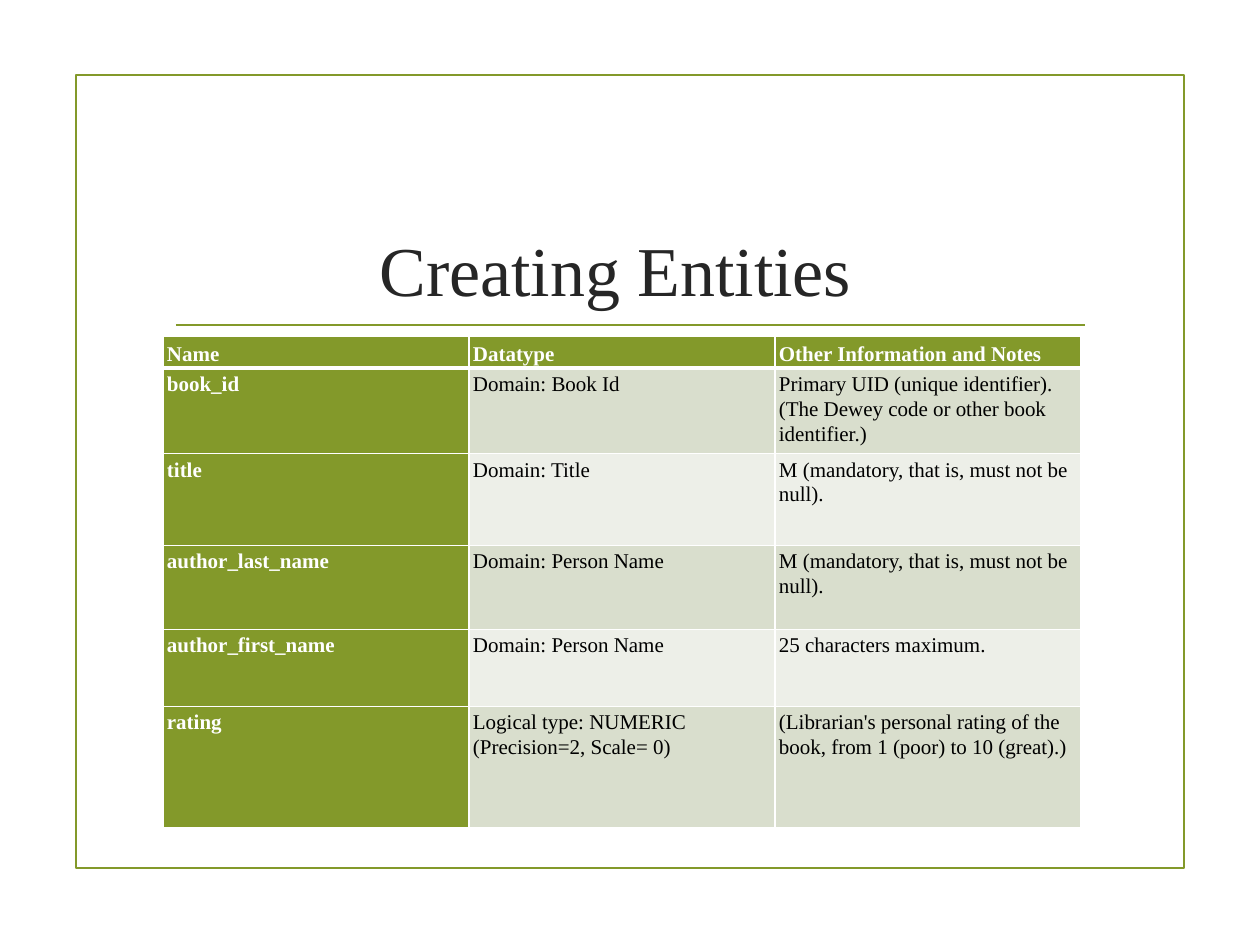
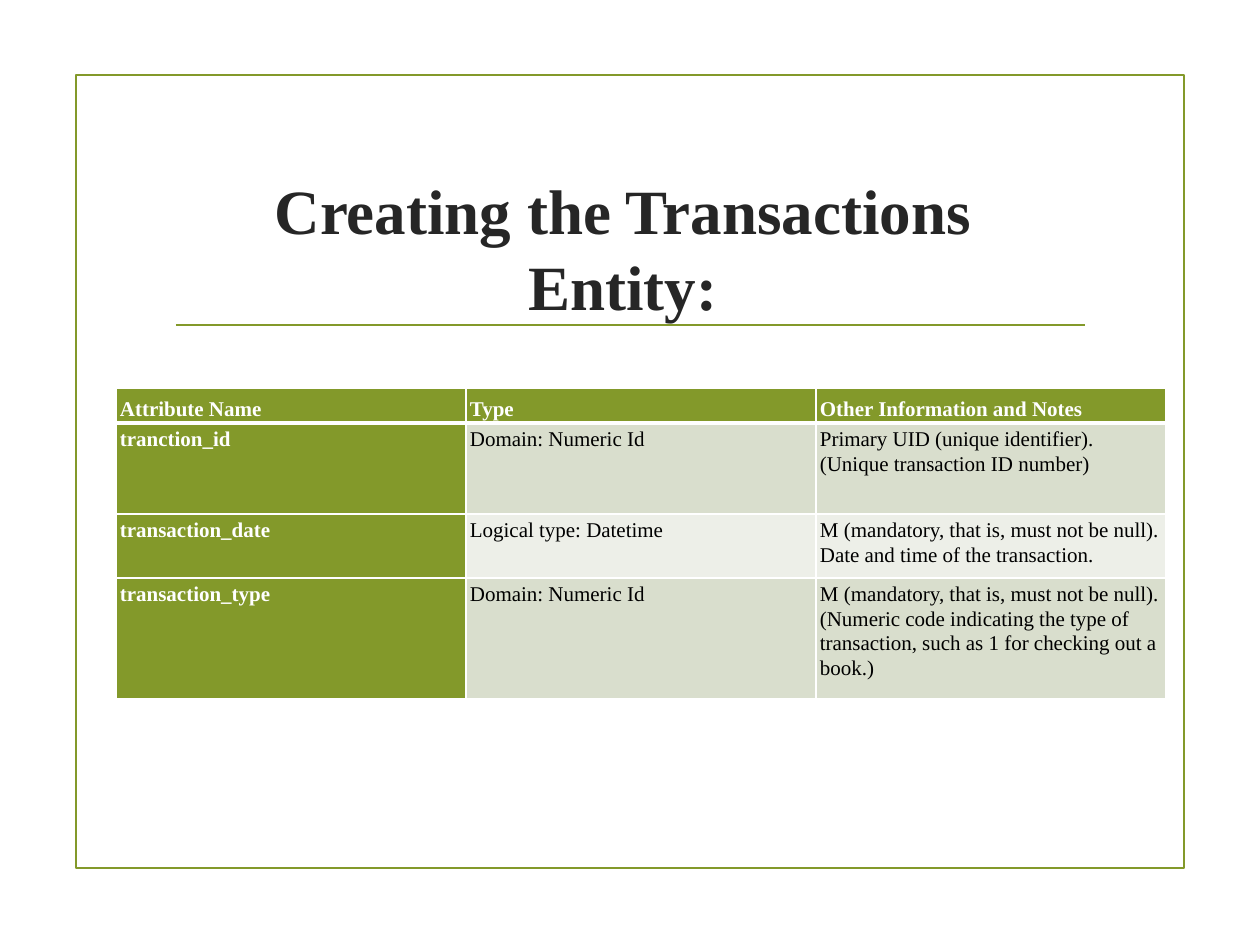
"""Builds two slides that describe library entities in tables."""
import pptx
import pptx.dml.color
import pptx.enum.shapes
import pptx.enum.text
import pptx.oxml.ns
import pptx.util
from lxml import etree

PX = 914400 // 126
FONT = "Times New Roman"
COLORS = {"green": "83992A", "title": "262626", "white": "FFFFFF", "black": "000000",
          "odd": "D9DECD", "even": "EDEFE8"}
FRAME = (76, 75, 1108, 793)
RULE = (176, 325, 1085, 325)
TITLE_WIDTH, TITLE_HEIGHT = 937, 180
MANDATORY = "M (mandatory, that is, must not be null)."

SLIDES = [
    {"title": "Creating Entities", "size": 40, "bold": False,
     "title_at": (147, 179), "indent": 0, "lift": 0,
     "table_at": (163, 336), "column": 306, "rows": [30, 81, 92, 84, 77, 121],
     "cells": [
         ("Name", "Datatype", "Other Information and Notes"),
         ("book_id", "Domain: Book Id",
          "Primary UID (unique identifier). (The Dewey code or other book identifier.)"),
         ("title", "Domain: Title", MANDATORY),
         ("author_last_name", "Domain: Person Name", MANDATORY),
         ("author_first_name", "Domain: Person Name", "25 characters maximum."),
         ("rating", "Logical type: NUMERIC (Precision=2, Scale= 0)",
          "(Librarian's personal rating of the book, from 1 (poor) to 10 (great).)"),
     ]},
    {"title": "Creating the Transactions Entity:", "size": 36, "bold": True,
     "title_at": (147, 199), "indent": 15, "lift": 84,
     "table_at": (116, 388), "column": 350, "rows": [35, 91, 64, 121],
     "cells": [
         ("Attribute Name", "Type", "Other Information and Notes"),
         ("tranction_id", "Domain: Numeric Id",
          "Primary UID (unique identifier). (Unique transaction ID number)"),
         ("transaction_date", "Logical type: Datetime",
          MANDATORY + " Date and time of the transaction."),
         ("transaction_type", "Domain: Numeric Id",
          MANDATORY + " (Numeric code indicating the type of transaction, "
          "such as 1 for checking out a book.)"),
     ]},
]


def emu(*lengths):
    return [length * PX for length in lengths]


def color(name):
    return pptx.dml.color.RGBColor.from_string(COLORS[name])


def style(paragraph, size, bold, ink, spacing):
    paragraph.line_spacing = spacing
    paragraph.font.name = FONT
    paragraph.font.size = pptx.util.Pt(size)
    paragraph.font.bold = bold
    paragraph.font.color.rgb = color(ink)


def draw_line(line):
    line.color.rgb = color("green")
    line.width = pptx.util.Pt(1.25)


def add_frame(page):
    frame = page.shapes.add_shape(pptx.enum.shapes.MSO_SHAPE.RECTANGLE, *emu(*FRAME))
    frame.shadow.inherit = False
    frame.fill.background()
    draw_line(frame.line)
    rule = page.shapes.add_connector(pptx.enum.shapes.MSO_CONNECTOR.STRAIGHT, *emu(*RULE))
    draw_line(rule.line)
    etree.SubElement(rule._element.spPr, pptx.oxml.ns.qn("a:effectLst"))


def add_title(page, content):
    box = page.shapes.add_textbox(*emu(*content["title_at"], TITLE_WIDTH, TITLE_HEIGHT))
    frame = box.text_frame
    frame.word_wrap = True
    frame.vertical_anchor = pptx.enum.text.MSO_ANCHOR.MIDDLE
    frame.margin_left, frame.margin_right = emu(25, 25)
    frame.margin_top, frame.margin_bottom = emu(0, content["lift"])
    para = frame.paragraphs[0]
    para.text = content["title"]
    para.alignment = pptx.enum.text.PP_ALIGN.CENTER
    properties = para._p.get_or_add_pPr()
    properties.set("marL", str(content["indent"] * PX))
    properties.set("indent", "0")
    style(para, content["size"], content["bold"], "title", 1.0)


def add_borders(cell, header):
    properties = cell._tc.get_or_add_tcPr()
    for side in ("lnL", "lnR", "lnT", "lnB"):
        points = 3 if header and side == "lnB" else 1
        border = etree.SubElement(properties, pptx.oxml.ns.qn("a:" + side),
                                  w=str(pptx.util.Pt(points)))
        fill = etree.SubElement(border, pptx.oxml.ns.qn("a:solidFill"))
        etree.SubElement(fill, pptx.oxml.ns.qn("a:srgbClr"), val=COLORS["white"])


def fill_cell(cell, text, row, column):
    header, label = row == 0, row == 0 or column == 0
    add_borders(cell, header)
    cell.fill.solid()
    cell.fill.fore_color.rgb = color("green" if label else "odd" if row % 2 else "even")
    cell.margin_left, cell.margin_right = emu(4, 4)
    cell.margin_top, cell.margin_bottom = emu(3, 2)
    anchors = pptx.enum.text.MSO_ANCHOR
    cell.vertical_anchor = anchors.BOTTOM if header else anchors.TOP
    para = cell.text_frame.paragraphs[0]
    para.text = text
    style(para, 12, label, "white" if label else "black", 1.07)


def add_entity_table(page, content):
    cells, heights = content["cells"], content["rows"]
    columns = len(cells[0])
    table = page.shapes.add_table(
        len(cells), columns,
        *emu(*content["table_at"], content["column"] * columns, sum(heights))).table
    for column in table.columns:
        column.width = content["column"] * PX
    for row, (texts, height) in enumerate(zip(cells, heights)):
        table.rows[row].height = height * PX
        for column, text in enumerate(texts):
            fill_cell(table.cell(row, column), text, row, column)


def main():
    deck = pptx.Presentation()
    deck.slide_width, deck.slide_height = emu(1260, 945)
    for content in SLIDES:
        page = deck.slides.add_slide(deck.slide_layouts[6])
        add_frame(page)
        add_title(page, content)
        add_entity_table(page, content)
    deck.save("out.pptx")


if __name__ == "__main__":
    main()
